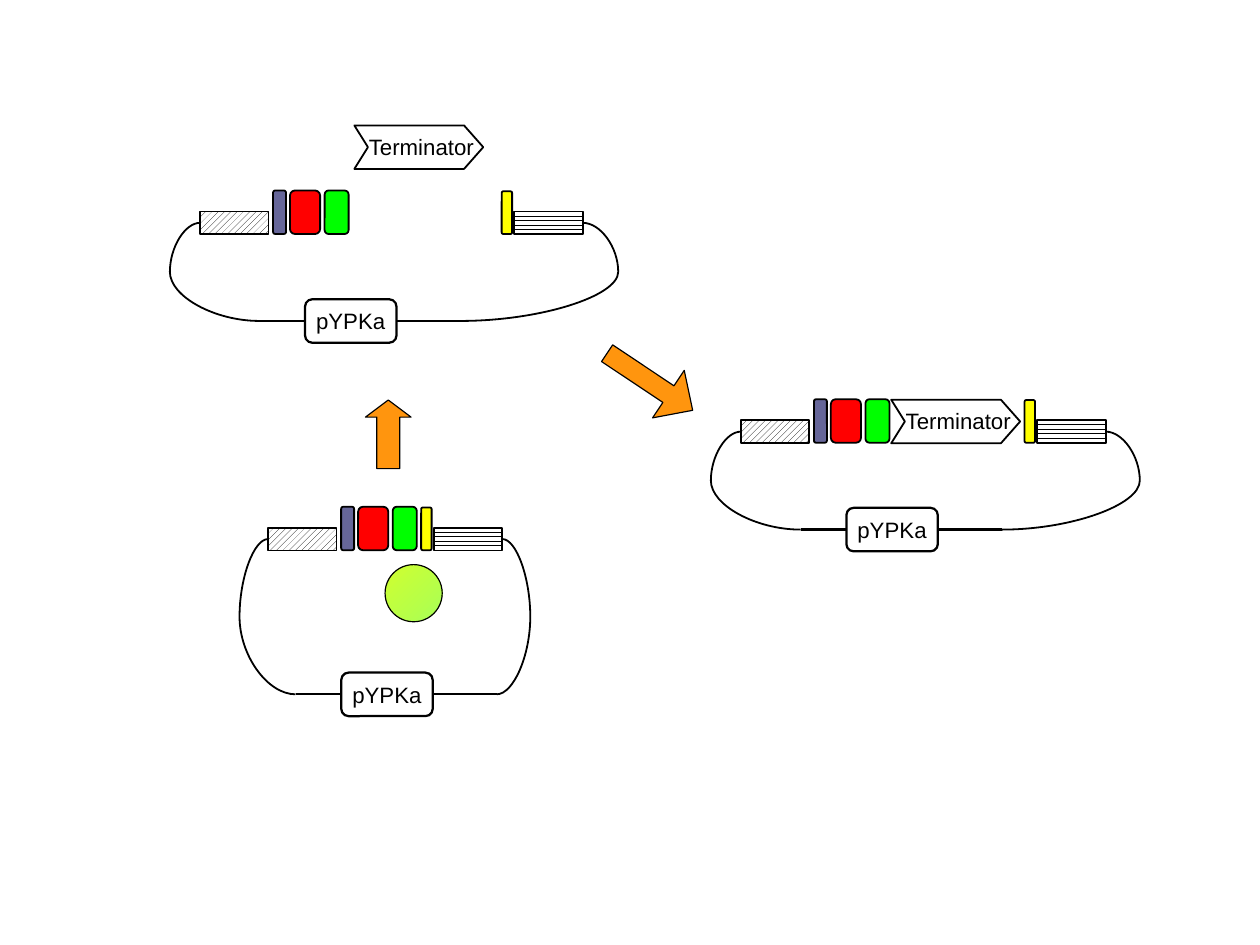
from lxml import etree
from pptx import Presentation
from pptx.dml.color import RGBColor
from pptx.enum.dml import MSO_PATTERN
from pptx.enum.shapes import MSO_CONNECTOR, MSO_SHAPE
from pptx.enum.text import MSO_ANCHOR, PP_ALIGN
from pptx.oxml.ns import qn
from pptx.util import Pt

RECT, ROUND, OVAL = MSO_SHAPE.RECTANGLE, MSO_SHAPE.ROUNDED_RECTANGLE, MSO_SHAPE.OVAL
RIGHT, UP = MSO_SHAPE.RIGHT_ARROW, MSO_SHAPE.UP_ARROW
CURVE, STRAIGHT = MSO_CONNECTOR.CURVE, MSO_CONNECTOR.STRAIGHT
HATCH, BARS = MSO_PATTERN.WIDE_UPWARD_DIAGONAL, MSO_PATTERN.HORIZONTAL
CENTER, MIDDLE = PP_ALIGN.CENTER, MSO_ANCHOR.MIDDLE

COLORS = {"black": "000000", "white": "FFFFFF", "violet": "666699", "red": "FF0000",
          "green": "00FF00", "yellow": "FFFF00", "orange": "FF950E",
          "lime": "D0FF2F", "leaf": "A8FF57"}
FONT, SIZE = "Arial", 14
WIDE, HIGH = 793.7, 595.28
THIN, THICK = 1.13, 1.42

# left and top of the hatched site, then offsets from it:
# striped site, name box, depth of the backbone, left and right bulge
PLASMIDS = [
    (168.9, 332.4, 104.4, 46.1, 105, 18, 17.6),
    (466.7, 264.7, 186.7, 66.5, 68.9, 18.9, 21.4),
    (126, 133.2, 198, 66.2, 69, 19, 22.3),
]
# colour, offset from the hatched site, width
GENES = [("violet", 46, 8.2), ("red", 56.7, 19), ("green", 78.5, 15.1)]
TERMINATORS = [(223.2, 79), (561.4, 251.8)]
OUTLINE = [(69.1, 0), (81.2, 13.7), (69.1, 27.4), (0, 27.4), (8.6, 13.7)]
# shape, left, top, width, height, turn, adjustments
ARROWS = [
    (RIGHT, 377, 222.5, 64.8, 36, 33.7, (0.35, 0.511)),
    (UP, 230.2, 252, 28.8, 43.2, 0, (0.5, 0.375)),
]
ENZYME = (242.6, 355.7, 36, 36)
SITE_W, SITE_H = 43.2, 14.4
GENE_H, RISE = 27.4, 13.2
NAME_W, NAME_H = 57.6, 27.4
TAIL_L, TAIL_R = 28.8, 40.3


def rgb(name):
    return RGBColor.from_string(COLORS[name])


def edge(item, width):
    item.line.color.rgb = rgb("black")
    item.line.width = Pt(width)


def box(kind, left, top, wide, high, color=None, width=THIN):
    item = shapes.add_shape(kind, Pt(left), Pt(top), Pt(wide), Pt(high))
    item.shadow.inherit = False
    if color:
        item.fill.solid()
        item.fill.fore_color.rgb = rgb(color)
    else:
        item.fill.background()
    edge(item, width)
    return item


def site(left, top, pattern):
    fill = box(RECT, left, top, SITE_W, SITE_H).fill
    fill.patterned()
    fill.pattern = pattern
    fill.fore_color.rgb = rgb("black")
    fill.back_color.rgb = rgb("white")


def link(kind, start, end, width):
    line = shapes.add_connector(kind, *[Pt(v) for v in (*start, *end)])
    edge(line, width)
    etree.SubElement(line._element.spPr, qn("a:effectLst"))
    return line


def bend(start, end, bulge):
    """Join two points by a curve that swings out past its start by bulge."""
    line = link(CURVE, start, end, THIN)
    ratio = round(-bulge / abs(end[0] - start[0]) * 100000)
    guides = line._element.spPr.find(qn("a:prstGeom")).get_or_add_avLst()
    etree.SubElement(guides, qn("a:gd"), name="adj1", fmla=f"val {ratio}")


def label(frame, words, pad, align=None):
    frame.word_wrap = False
    frame.margin_left = frame.margin_right = Pt(pad)
    frame.margin_top = frame.margin_bottom = Pt(pad / 2)
    para = frame.paragraphs[0]
    para.alignment = align
    run = para.add_run()
    run.text = words
    run.font.name = FONT
    run.font.size = Pt(SIZE)
    run.font.color.rgb = rgb("black")


def plasmid(left, top, stripe, name, depth, out_l, out_r):
    mid, base = top + SITE_H / 2, top + depth
    far, name_x = left + stripe, left + name
    name_r = name_x + NAME_W
    end_l, end_r = (name_x - TAIL_L, base), (name_r + TAIL_R, base)

    box(ROUND, far - 8, top - 12.7, 6.6, 26.9, "yellow")
    site(left, top, HATCH)
    site(far, top, BARS)
    bend((left, mid), end_l, out_l)
    bend((far + SITE_W, mid), end_r, out_r)
    for color, shift, wide in GENES:
        box(ROUND, left + shift, top - RISE, wide, GENE_H, color)
    item = box(ROUND, name_x, base - NAME_H / 2, NAME_W, NAME_H, width=THICK)
    item.text_frame.vertical_anchor = MIDDLE
    label(item.text_frame, "pYPKa", 8, CENTER)
    link(STRAIGHT, (name_x, base), end_l, THICK)
    link(STRAIGHT, end_r, (name_r, base), THICK)


def terminator(left, top):
    path = shapes.build_freeform(Pt(left), Pt(top))
    path.add_line_segments([(Pt(left + x), Pt(top + y)) for x, y in OUTLINE])
    item = path.convert_to_shape()
    item.shadow.inherit = False
    item.fill.background()
    edge(item, THIN)
    text = shapes.add_textbox(Pt(left + 2), Pt(top + 1.2), Pt(87), Pt(26))
    label(text.text_frame, "Terminator", 7.2)


deck = Presentation()
deck.slide_width, deck.slide_height = Pt(WIDE), Pt(HIGH)
shapes = deck.slides.add_slide(deck.slide_layouts[6]).shapes

for parts in PLASMIDS:
    plasmid(*parts)
for spot in TERMINATORS:
    terminator(*spot)
for kind, left, top, wide, high, turn, adjust in ARROWS:
    arrow = box(kind, left, top, wide, high, "orange", 0)
    arrow.rotation = turn
    for i, value in enumerate(adjust):
        arrow.adjustments[i] = value

enzyme = box(OVAL, *ENZYME, width=0)
enzyme.fill.gradient()
enzyme.fill.gradient_angle = 315
for stop, color in zip(enzyme.fill.gradient_stops, ("lime", "leaf")):
    stop.color.rgb = rgb(color)

deck.save("out.pptx")
